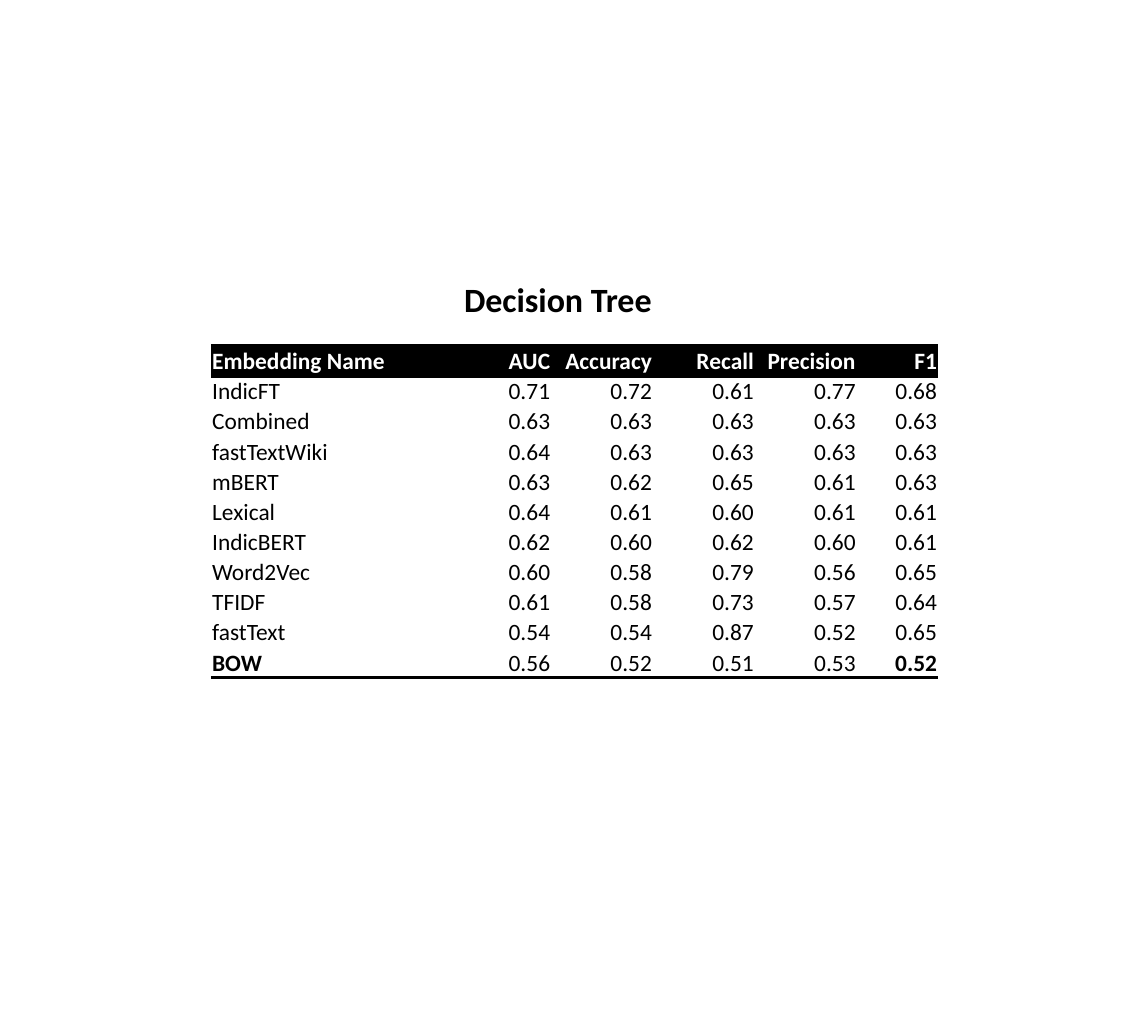
from dataclasses import dataclass

from lxml.etree import SubElement
from pptx import Presentation
from pptx.dml.color import RGBColor as Rgb
from pptx.enum.text import MSO_ANCHOR as Anchor, MSO_AUTO_SIZE as AutoSize, PP_ALIGN as Align
from pptx.oxml.ns import qn
from pptx.util import Cm, Pt

HEADING = "Decision Tree"
METRICS = ("Embedding Name", "AUC", "Accuracy", "Recall", "Precision", "F1")
SCORES = [
    ("IndicFT", 0.71, 0.72, 0.61, 0.77, 0.68),
    ("Combined", 0.63, 0.63, 0.63, 0.63, 0.63),
    ("fastTextWiki", 0.64, 0.63, 0.63, 0.63, 0.63),
    ("mBERT", 0.63, 0.62, 0.65, 0.61, 0.63),
    ("Lexical", 0.64, 0.61, 0.60, 0.61, 0.61),
    ("IndicBERT", 0.62, 0.60, 0.62, 0.60, 0.61),
    ("Word2Vec", 0.60, 0.58, 0.79, 0.56, 0.65),
    ("TFIDF", 0.61, 0.58, 0.73, 0.57, 0.64),
    ("fastText", 0.54, 0.54, 0.87, 0.52, 0.65),
    ("BOW", 0.56, 0.52, 0.51, 0.53, 0.52),
]
COLUMN_WIDTHS = (3.96, 1.69, 1.69, 1.69, 1.69, 1.35)
ROW_HEIGHT = 0.5
PLAIN_STYLE = "{2D5ABB26-0587-4C30-8999-92F81FD0307C}"


@dataclass(frozen=True)
class Theme:
    font: str = "Calibri"
    ink: str = "000000"
    paper: str = "FFFFFF"
    heading_size: int = 16
    score_size: int = 11
    rule_width: int = 2


THEME = Theme()


def write(frame, text, size, color=THEME.ink, bold=False, align=Align.LEFT):
    paragraph = frame.paragraphs[0]
    paragraph.alignment = align
    run = paragraph.add_run()
    run.text = text
    run.font.name = THEME.font
    run.font.size = Pt(size)
    run.font.bold = bold
    run.font.color.rgb = Rgb.from_string(color)


def add_rule(cell, side):
    rule = SubElement(cell._tc.get_or_add_tcPr(), qn(f"a:ln{side}"), w=str(Pt(THEME.rule_width)))
    SubElement(SubElement(rule, qn("a:solidFill")), qn("a:srgbClr"), val=THEME.ink)


def add_heading(slide):
    heading = slide.shapes.title
    heading.left, heading.top = Cm(4.04), Cm(4.5)
    heading.width, heading.height = Cm(10.44), Cm(0.94)
    heading.text_frame.auto_size = AutoSize.NONE
    heading.text_frame.word_wrap = True
    heading.text_frame.vertical_anchor = Anchor.TOP
    write(heading.text_frame, HEADING, THEME.heading_size, bold=True, align=Align.CENTER)


def add_scores(slide):
    rows = [METRICS] + [(name, *(f"{score:.2f}" for score in scores)) for name, *scores in SCORES]
    last_row, last_column = len(rows) - 1, len(METRICS) - 1
    table = slide.shapes.add_table(
        len(rows), len(METRICS), Cm(3.5), Cm(5.74),
        Cm(sum(COLUMN_WIDTHS)), Cm(ROW_HEIGHT * len(rows)),
    ).table
    table.horz_banding = False
    table._tbl.tblPr.find(qn("a:tableStyleId")).text = PLAIN_STYLE
    for column, width in zip(table.columns, COLUMN_WIDTHS):
        column.width = Cm(width)
    for r, entries in enumerate(rows):
        table.rows[r].height = Cm(ROW_HEIGHT)
        is_header = r == 0
        for c, entry in enumerate(entries):
            cell = table.cell(r, c)
            cell.margin_left = cell.margin_right = cell.margin_top = Cm(0.02)
            cell.margin_bottom = 0
            cell.vertical_anchor = Anchor.BOTTOM
            for side in "TB" if is_header else "B" if r == last_row else "":
                add_rule(cell, side)
            cell.fill.solid()
            cell.fill.fore_color.rgb = Rgb.from_string(THEME.ink if is_header else THEME.paper)
            write(
                cell.text_frame, entry, THEME.score_size,
                color=THEME.paper if is_header else THEME.ink,
                bold=is_header or (r == last_row and c in (0, last_column)),
                align=Align.RIGHT if c else Align.LEFT,
            )


def main():
    deck = Presentation()
    deck.slide_width, deck.slide_height = Cm(19.05), Cm(16.99)
    slide = deck.slides.add_slide(deck.slide_layouts[5])
    add_scores(slide)
    add_heading(slide)
    deck.save("out.pptx")


if __name__ == "__main__":
    main()
